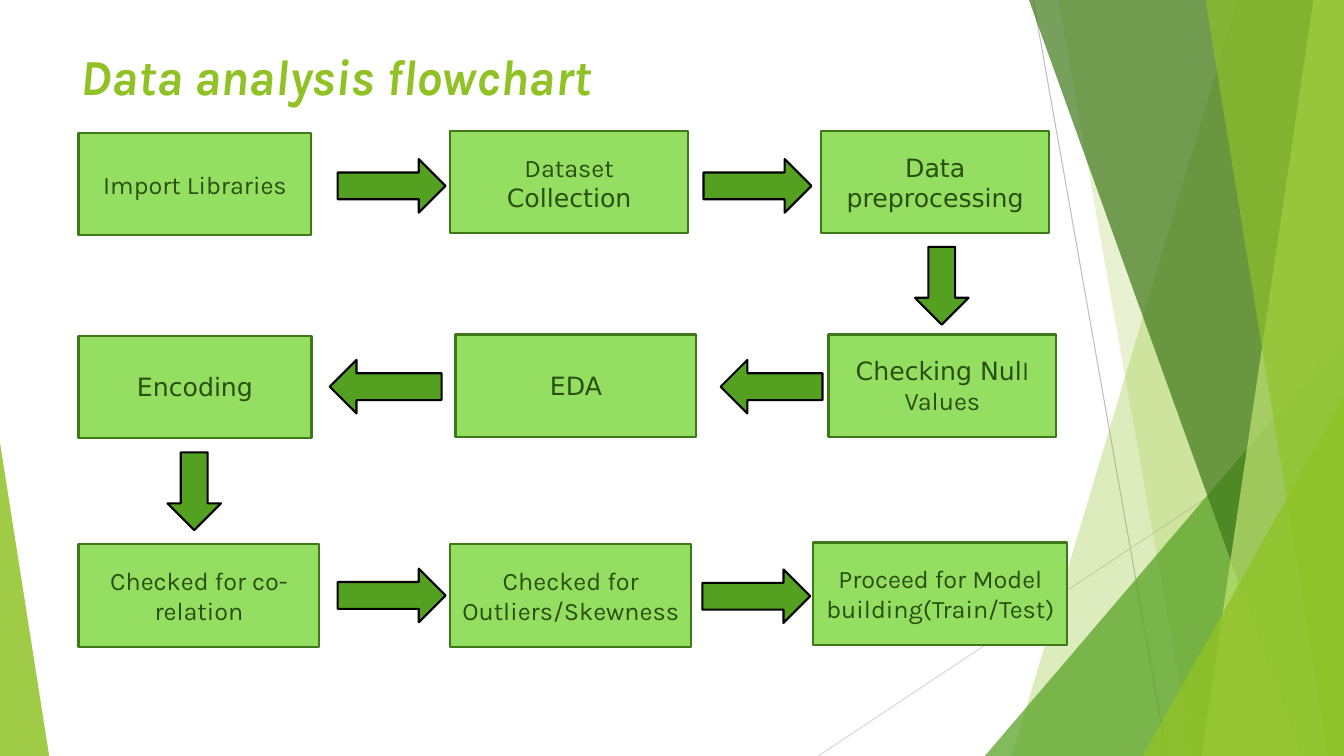
from lxml.etree import SubElement
from pptx import Presentation
from pptx.dml.color import RGBColor
from pptx.enum.shapes import MSO_CONNECTOR, MSO_SHAPE
from pptx.enum.text import MSO_ANCHOR, PP_ALIGN
from pptx.oxml.ns import qn
from pptx.util import Cm, Pt

THEME = {
    "lime": "90C226", "pale": "C0E474", "green": "54A021", "dark": "3F7819",
    "box": "94DE61", "ink": "2A5010", "black": "000000",
    "ray_1": "BFBFBF", "ray_2": "D9D9D9",
    "title_size": 36, "step_size": 18, "outline": 1.5, "ray_width": 0.75,
}
KARLA, DEJAVU = "Karla", "DejaVu Sans"
SLIDE_WIDTH, SLIDE_HEIGHT = 33.87, 19.05


def write(frame, runs, size, color, align=PP_ALIGN.LEFT, bold=False, italic=False):
    frame.word_wrap = True
    frame.vertical_anchor = MSO_ANCHOR.MIDDLE
    paragraph = frame.paragraphs[0]
    paragraph.alignment = align
    for words, font_name in runs:
        run = paragraph.add_run()
        run.text = words
        run.font.name = font_name
        run.font.size = Pt(size)
        run.font.bold = bold
        run.font.italic = italic
        run.font.color.rgb = RGBColor.from_string(THEME[color])


def paint(shape, fill, line=None, opacity=100):
    shape.shadow.inherit = False
    shape.fill.solid()
    shape.fill.fore_color.rgb = RGBColor.from_string(THEME[fill])
    if opacity < 100:
        color = shape.fill._xPr.find(qn("a:solidFill"))[0]
        SubElement(color, qn("a:alpha"), val=str(opacity * 1000))
    if line:
        shape.line.color.rgb = RGBColor.from_string(THEME[line])
        shape.line.width = Pt(THEME["outline"])
    else:
        shape.line.fill.background()


deck = Presentation()
deck.slide_width, deck.slide_height = Cm(SLIDE_WIDTH), Cm(SLIDE_HEIGHT)
slide = deck.slides.add_slide(deck.slide_layouts[6])
shapes = slide.shapes

rays = [
    (26.04, 0, 29.41, SLIDE_HEIGHT, "ray_1"),
    (SLIDE_WIDTH, 10.24, 20.62, SLIDE_HEIGHT, "ray_2"),
]
for x1, y1, x2, y2, color in rays:
    ray = shapes.add_connector(MSO_CONNECTOR.STRAIGHT, Cm(x1), Cm(y1), Cm(x2), Cm(y2))
    ray.line.color.rgb = RGBColor.from_string(THEME[color])
    ray.line.width = Pt(THEME["ray_width"])
    SubElement(ray._element.spPr, qn("a:effectLst"))

facets = [
    ("band", 31.19, 25.5, "lime", 30),
    ("band", 26.67, 30.05, "lime", 20),
    ("corner", 24.82, 8.46, "green", 72),
    ("band", 25.93, 32.79, "dark", 70),
    ("band", 33.1, 30.28, "pale", 70),
    ("band", 30.38, 33.48, "lime", 65),
    ("corner", 28.8, 9.98, "lime", 80),
    ("corner", 0, 11.15, "lime", 85),
]
for kind, start, end, color, opacity in facets:
    if kind == "band":
        outline = shapes.build_freeform(Cm(start), 0)
        outline.add_line_segments([
            (Cm(SLIDE_WIDTH), 0),
            (Cm(SLIDE_WIDTH), Cm(SLIDE_HEIGHT)),
            (Cm(end), Cm(SLIDE_HEIGHT)),
        ])
        facet = outline.convert_to_shape()
    else:
        width = SLIDE_WIDTH - start if start else 1.24
        facet = shapes.add_shape(MSO_SHAPE.ISOSCELES_TRIANGLE, Cm(start), Cm(end),
                                 Cm(width), Cm(SLIDE_HEIGHT - end))
        facet.adjustments[0] = 1 if start else 0
    paint(facet, color, opacity=opacity)

heading = shapes.add_textbox(Cm(1.78), Cm(0.84), Cm(23.88), Cm(2.11))
write(heading.text_frame, [("Data analysis flowchart", KARLA)],
      THEME["title_size"], "lime", bold=True, italic=True)

steps = [
    (1.98, 3.35, 5.87, [("Import Libraries", KARLA)]),
    (11.35, 3.3, 5.99, [("Dataset", KARLA), (" Collection", DEJAVU)]),
    (20.7, 3.3, 5.74, [("Data preprocessing", DEJAVU)]),
    (20.88, 8.43, 5.74, [("Checking Nul", DEJAVU), ("l Values", KARLA)]),
    (11.48, 8.43, 6.07, [("EDA", DEJAVU)]),
    (1.98, 8.46, 5.87, [("Encoding", DEJAVU)]),
    (1.98, 13.72, 6.07, [("Checked for co-relation", KARLA)]),
    (11.35, 13.72, 6.07, [("Checked for Outliers/Skewness", KARLA)]),
    (20.5, 13.67, 6.4, [("Proceed for Model building(Train/Test)", KARLA)]),
]
for index, (left, top, width, runs) in enumerate(steps):
    preset = MSO_SHAPE.FLOWCHART_PROCESS if index else MSO_SHAPE.RECTANGLE
    step = shapes.add_shape(preset, Cm(left), Cm(top), Cm(width), Cm(2.58))
    paint(step, "box", "dark")
    write(step.text_frame, runs, THEME["step_size"], "ink", align=PP_ALIGN.CENTER)

ARROW_BREADTH = 1.35
arrows = [
    (MSO_SHAPE.RIGHT_ARROW, 8.51, 4.01, 2.72),
    (MSO_SHAPE.RIGHT_ARROW, 17.73, 4.01, 2.72),
    (MSO_SHAPE.DOWN_ARROW, 23.06, 6.22, 1.96),
    (MSO_SHAPE.LEFT_ARROW, 18.16, 9.07, 2.57),
    (MSO_SHAPE.LEFT_ARROW, 8.31, 9.07, 2.82),
    (MSO_SHAPE.DOWN_ARROW, 4.22, 11.4, 1.96),
    (MSO_SHAPE.RIGHT_ARROW, 8.51, 14.33, 2.72),
    (MSO_SHAPE.RIGHT_ARROW, 17.7, 14.35, 2.72),
]
for preset, left, top, length in arrows:
    width, height = length, ARROW_BREADTH
    if preset == MSO_SHAPE.DOWN_ARROW:
        width, height = height, width
    arrow = shapes.add_shape(preset, Cm(left), Cm(top), Cm(width), Cm(height))
    paint(arrow, "green", "black")

deck.save("out.pptx")
